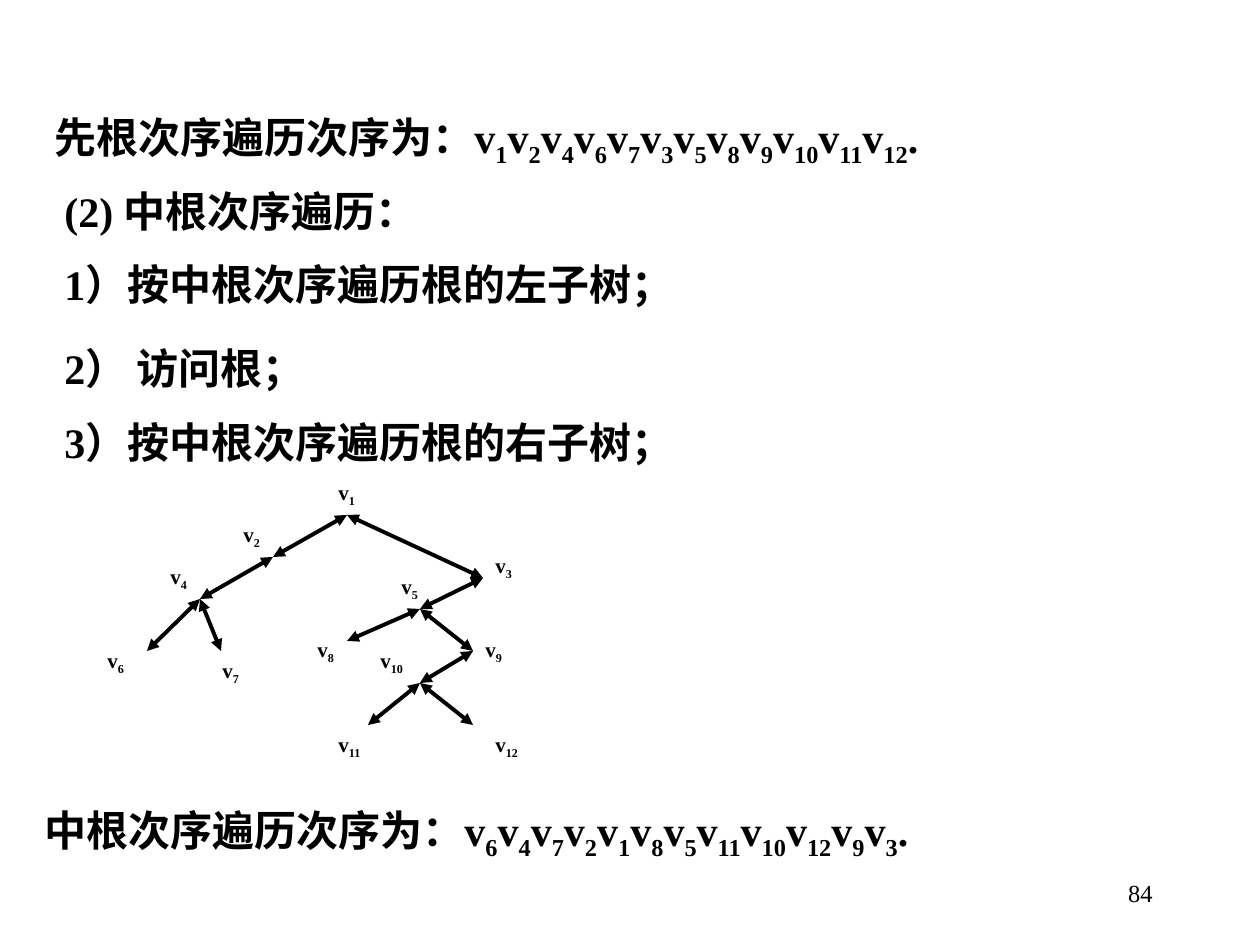
from typing import NamedTuple

from lxml import etree
from pptx import Presentation
from pptx import util as u
from pptx.dml.color import RGBColor
from pptx.enum import shapes, text
from pptx.oxml.ns import qn

PX = 914400 / 126
INK = "000000"
FACE = "Times New Roman"


class Line(NamedTuple):
    x: int
    y: int
    h: int
    lead: str
    keys: tuple[int, ...] = ()
    tail: str = ""
    pad: int = 0


class Node(NamedTuple):
    x: int
    y: int
    left: int
    top: int
    root: int = 0


LINES = [
    Line(42, 105, 70, "先根次序遍历次序为：", (1, 2, 4, 6, 7, 3, 5, 8, 9, 10, 11, 12), "."),
    Line(42, 179, 63, "(2) 中根次序遍历：", pad=10),
    Line(42, 252, 63, "1）按中根次序遍历根的左子树；", pad=10),
    Line(42, 336, 63, "2） 访问根；", pad=10),
    Line(42, 410, 63, "3）按中根次序遍历根的右子树；", pad=10),
    Line(32, 798, 70, "中根次序遍历次序为：", (6, 4, 7, 2, 1, 8, 5, 11, 10, 12, 9, 3), "."),
]

TREE = {
    1: Node(347, 515, 326, 473),
    2: Node(273, 557, 231, 515, 1),
    3: Node(483, 578, 483, 546, 1),
    4: Node(200, 599, 158, 557, 2),
    5: Node(420, 609, 389, 567, 3),
    6: Node(147, 651, 95, 641, 4),
    7: Node(221, 651, 210, 651, 4),
    8: Node(347, 641, 305, 630, 5),
    9: Node(473, 651, 473, 630, 5),
    10: Node(420, 683, 368, 641, 9),
    11: Node(368, 725, 326, 725, 10),
    12: Node(473, 725, 483, 725, 10),
}


def px(n: int) -> u.Emu:
    return u.Emu(round(n * PX))


def rgb(code: str) -> RGBColor:
    return RGBColor.from_string(code)


def add_box(host, x: int, y: int, w: int, h: int):
    frame = host.add_textbox(px(x), px(y), px(w), px(h)).text_frame
    frame.word_wrap = True
    return frame


def add_run(par, words: str, size: int, bold: bool = True, sub: bool = False) -> None:
    run = par.add_run()
    run.text = words
    run.font.name = FACE
    run.font.size = u.Pt(size)
    run.font.bold = bold
    run.font.color.rgb = rgb(INK)
    if sub:
        run.font._element.set("baseline", "-25000")


def add_keys(par, keys: tuple[int, ...], size: int) -> None:
    for key in keys:
        add_run(par, "v", size)
        add_run(par, str(key), size, sub=True)


def draw_line(host, line: Line) -> None:
    frame = add_box(host, line.x, line.y, 1103, line.h)
    frame.auto_size = text.MSO_AUTO_SIZE.SHAPE_TO_FIT_TEXT
    par = frame.paragraphs[0]
    if line.pad:
        par._p.get_or_add_pPr().set("marL", str(px(line.pad)))
    add_run(par, line.lead, 24)
    add_keys(par, line.keys, 24)
    if line.tail:
        add_run(par, line.tail, 24)


def draw_edge(host, start: Node, end: Node) -> None:
    edge = host.add_connector(
        shapes.MSO_CONNECTOR.STRAIGHT, px(start.x), px(start.y), px(end.x), px(end.y))
    edge.line.width = u.Pt(2.25)
    edge.line.color.rgb = rgb(INK)
    for tag in ("a:headEnd", "a:tailEnd"):
        etree.SubElement(edge.line._ln, qn(tag), type="triangle")
    etree.SubElement(edge._element.spPr, qn("a:effectLst"))


def draw_label(host, key: int, node: Node) -> None:
    frame = add_box(host, node.left, node.top, 44 if key < 10 else 63, 42)
    frame.auto_size = text.MSO_AUTO_SIZE.SHAPE_TO_FIT_TEXT
    add_keys(frame.paragraphs[0], (key,), 12)


def draw_page(host, num: str) -> None:
    frame = add_box(host, 903, 861, 262, 63)
    frame.vertical_anchor = text.MSO_ANCHOR.MIDDLE
    par = frame.paragraphs[0]
    par.alignment = text.PP_ALIGN.RIGHT
    add_run(par, num, 14, bold=False)


def main() -> None:
    deck = Presentation()
    deck.slide_width, deck.slide_height = u.Inches(10), u.Inches(7.5)
    slide = deck.slides.add_slide(deck.slide_layouts[6])
    draw_page(slide.shapes, "84")
    for line in LINES:
        draw_line(slide.shapes, line)
    tree = slide.shapes.add_group_shape().shapes
    for node in TREE.values():
        if node.root:
            draw_edge(tree, TREE[node.root], node)
    for key, node in TREE.items():
        draw_label(tree, key, node)
    deck.save("out.pptx")


if __name__ == "__main__":
    main()
